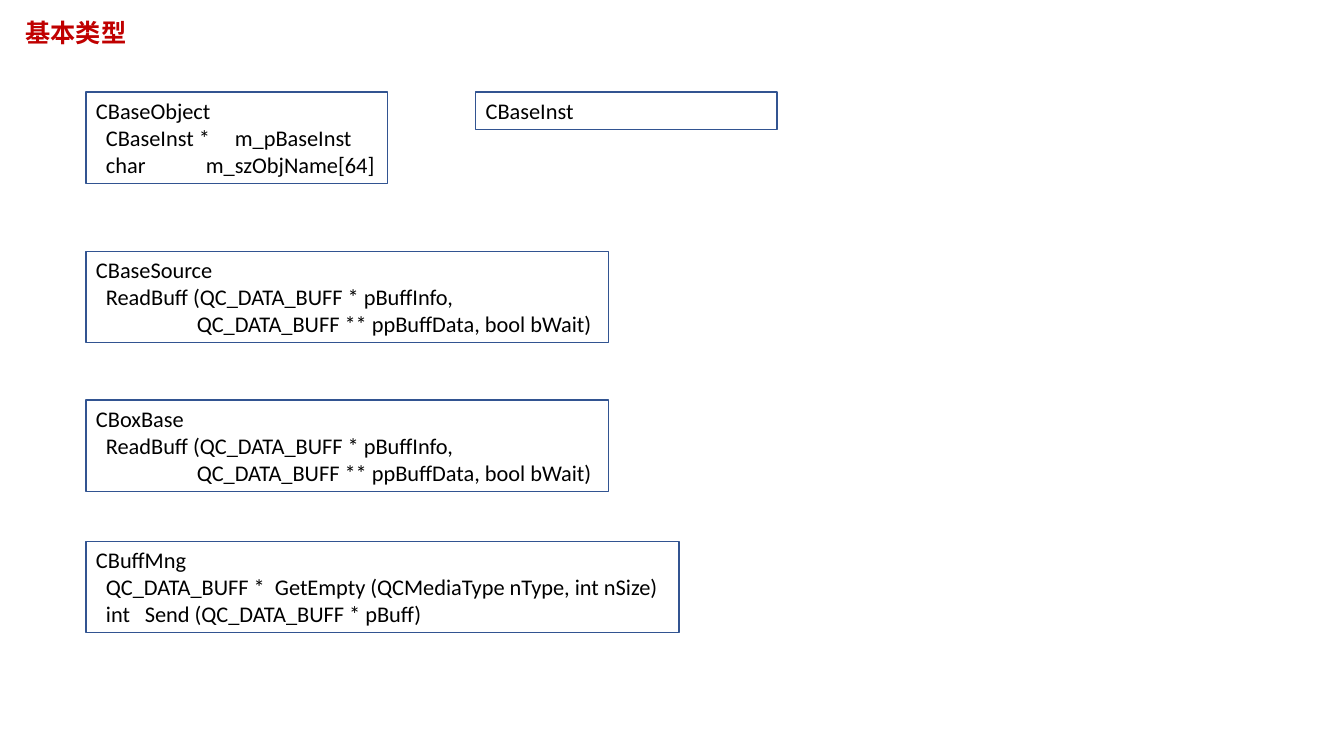
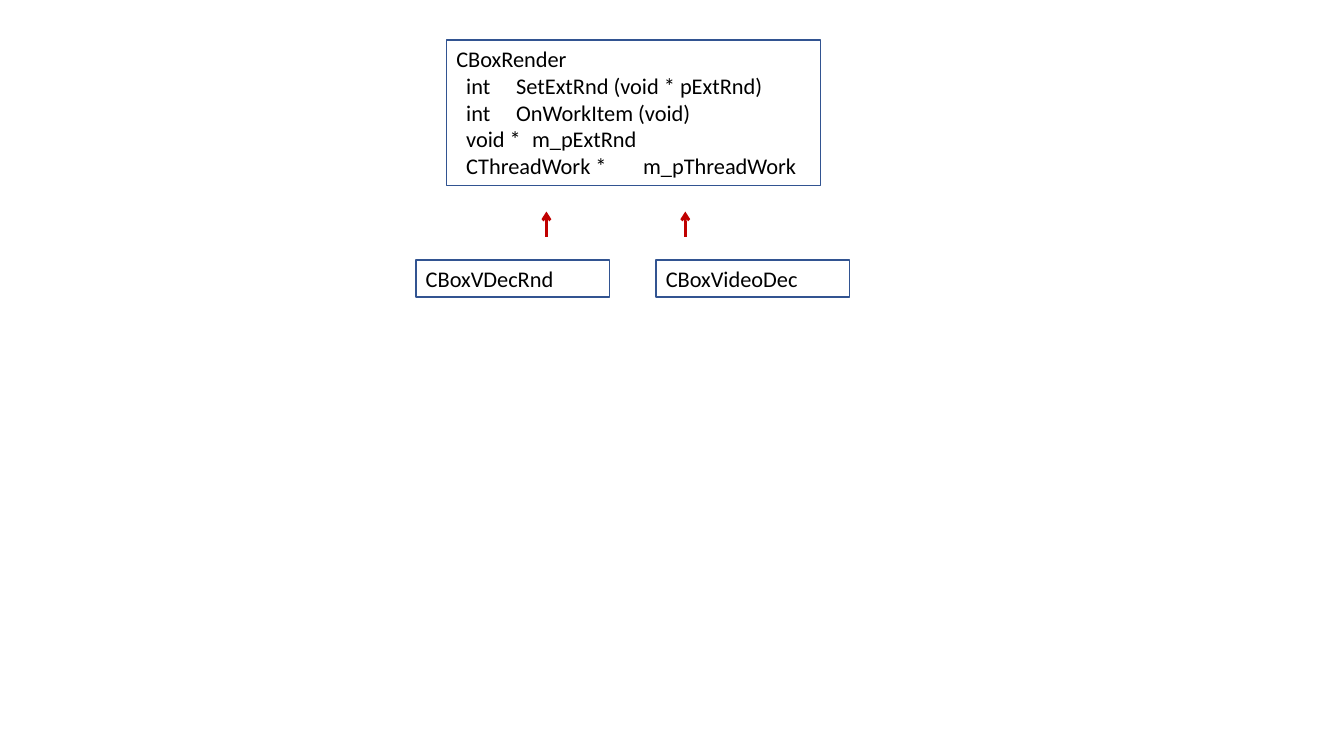
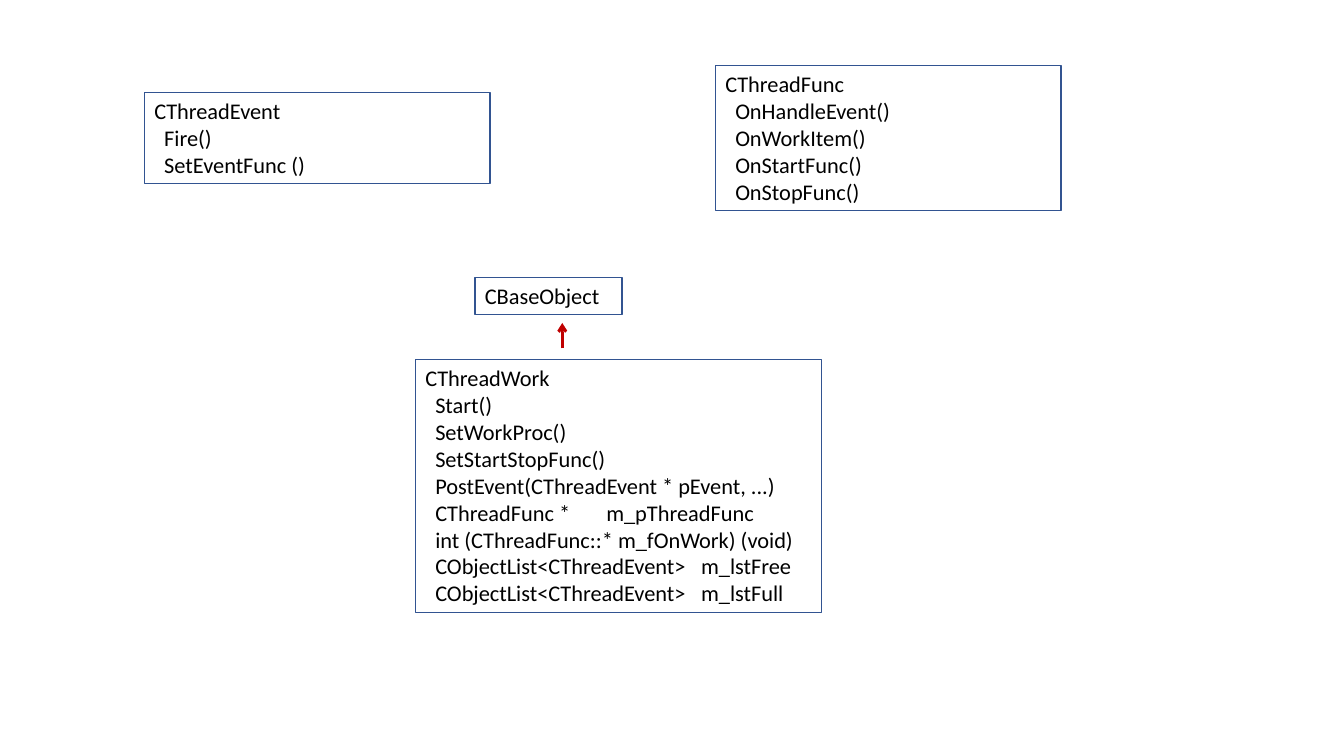
import pptx
import pptx.util
import pptx.dml.color
import pptx.enum.shapes
import pptx.enum.text
import pptx.oxml.ns
from lxml import etree
from pptx.util import Cm

COLOURS = {"accent": "C00000", "outline": "325491", "text": "000000"}
FONT = "Calibri"
TITLE_ONLY, BLANK = 5, 6
LINE_HEIGHT = 0.68
BOX_PADDING = 0.26
MEMBER_INDENT = 0.25
ARROW_LENGTH = 0.64


def colour(name):
    return pptx.dml.color.RGBColor.from_string(COLOURS[name])


def add_element(parent, tag, **attributes):
    return etree.SubElement(parent, pptx.oxml.ns.qn(tag), attributes)


def style_paragraph(para, size, colour_name, bold=False):
    para.alignment = pptx.enum.text.PP_ALIGN.LEFT
    para.font.name = FONT
    para.font.size = pptx.util.Pt(size)
    para.font.bold = bold
    para.font.color.rgb = colour(colour_name)


def indent_member(para, tab_size):
    """Indent a member line; its tab size places the second column."""
    properties = para._p.get_or_add_pPr()
    properties.set("marL", "0")
    properties.set("indent", str(Cm(MEMBER_INDENT)))
    if tab_size:
        properties.set("defTabSz", str(Cm(tab_size)))


def add_title(page, text):
    title = page.shapes.title
    title.left, title.top, title.width, title.height = Cm(0.39), Cm(0.32), Cm(3.2), Cm(1.02)
    frame = title.text_frame
    frame.text = text
    frame.auto_size = pptx.enum.text.MSO_AUTO_SIZE.NONE
    frame.vertical_anchor = pptx.enum.text.MSO_ANCHOR.TOP
    style_paragraph(frame.paragraphs[0], 18, "accent", bold=True)


def add_class_box(page, left, top, width, name, members=()):
    """Draw a class; each member is (text, tab size in cm or None)."""
    height = BOX_PADDING + LINE_HEIGHT * (len(members) + 1)
    box = page.shapes.add_shape(pptx.enum.shapes.MSO_SHAPE.RECTANGLE,
                                Cm(left), Cm(top), Cm(width), Cm(height))
    box.shadow.inherit = False
    box.fill.background()
    box.line.color.rgb = colour("outline")
    box.line.width = pptx.util.Pt(1)
    frame = box.text_frame
    frame.word_wrap = True
    frame.vertical_anchor = pptx.enum.text.MSO_ANCHOR.TOP
    frame.text = name
    style_paragraph(frame.paragraphs[0], 16, "text")
    for text, tab_size in members:
        para = frame.add_paragraph()
        para.text = text
        style_paragraph(para, 16, "text")
        indent_member(para, tab_size)


def add_inheritance_arrow(page, x, bottom):
    arrow = page.shapes.add_connector(pptx.enum.shapes.MSO_CONNECTOR.STRAIGHT,
                                      Cm(x), Cm(bottom), Cm(x), Cm(bottom - ARROW_LENGTH))
    arrow.line.color.rgb = colour("accent")
    arrow.line.width = pptx.util.Pt(2)
    add_element(arrow.line._get_or_add_ln(), "a:tailEnd", type="arrow")
    add_element(arrow._element.spPr, "a:effectLst")


def add_basic_types(deck):
    page = deck.slides.add_slide(deck.slide_layouts[TITLE_ONLY])
    add_title(page, "基本类型")
    left, top = 2.17, 2.32
    add_class_box(page, left, top, 7.59, "CBaseObject", [
        ("CBaseInst *\tm_pBaseInst", 3.5),
        ("char\tm_szObjName[64]", 2.77)])
    add_class_box(page, 11.99, top, 7.59, "CBaseInst")
    # Two readers with the same signature
    for name, reader_top in (("CBaseSource", 6.34), ("CBoxBase", 10.08)):
        add_class_box(page, left, reader_top, 13.16, name, [
            ("ReadBuff (QC_DATA_BUFF * pBuffInfo,", None),
            ("\tQC_DATA_BUFF ** ppBuffData, bool bWait)", 2.54)])
    add_class_box(page, left, 13.64, 14.94, "CBuffMng", [
        ("QC_DATA_BUFF *\tGetEmpty (QCMediaType nType, int nSize)", 4.51),
        ("int\tSend (QC_DATA_BUFF * pBuff)", 1.23)])


def add_render_classes(deck):
    page = deck.slides.add_slide(deck.slide_layouts[BLANK])
    add_class_box(page, 11.25, 1.01, 9.43, "CBoxRender", [
        ("int\tSetExtRnd (void * pExtRnd)", 1.51),
        ("int\tOnWorkItem (void)", 1.51),
        ("void *\tm_pExtRnd", 1.91),
        ("CThreadWork *\tm_pThreadWork", 4.71)])
    # Subclasses, each with its arrow
    for name, left, arrow_x in (("CBoxVDecRnd", 10.48, 13.77),
                                ("CBoxVideoDec", 16.53, 17.27)):
        add_class_box(page, left, 6.55, 4.88, name)
        add_inheritance_arrow(page, arrow_x, 5.97)


def add_thread_classes(deck):
    page = deck.slides.add_slide(deck.slide_layouts[BLANK])
    add_class_box(page, 3.64, 2.33, 8.71, "CThreadEvent", [
        ("Fire()", None),
        ("SetEventFunc ()", None)])
    add_class_box(page, 18.03, 1.65, 8.71, "CThreadFunc", [
        ("OnHandleEvent()", None),
        ("OnWorkItem()", None),
        ("OnStartFunc()", None),
        ("OnStopFunc()", None)])
    # Worker thread and its base class
    add_class_box(page, 11.97, 6.99, 3.71, "CBaseObject")
    add_inheritance_arrow(page, 14.17, 8.78)
    add_class_box(page, 10.47, 9.06, 10.24, "CThreadWork", [
        ("Start()", None),
        ("SetWorkProc()", None),
        ("SetStartStopFunc()", None),
        ("PostEvent(CThreadEvent * pEvent, ...)", None),
        ("CThreadFunc *\tm_pThreadFunc", 4.56),
        ("int (CThreadFunc::* m_fOnWork) (void)", None),
        ("CObjectList<CThreadEvent>\tm_lstFree", 6.95),
        ("CObjectList<CThreadEvent>\tm_lstFull", 6.95)])


def main():
    deck = pptx.Presentation()
    deck.slide_width, deck.slide_height = Cm(33.87), Cm(19.05)
    add_basic_types(deck)
    add_render_classes(deck)
    add_thread_classes(deck)
    deck.save("out.pptx")


if __name__ == "__main__":
    main()
